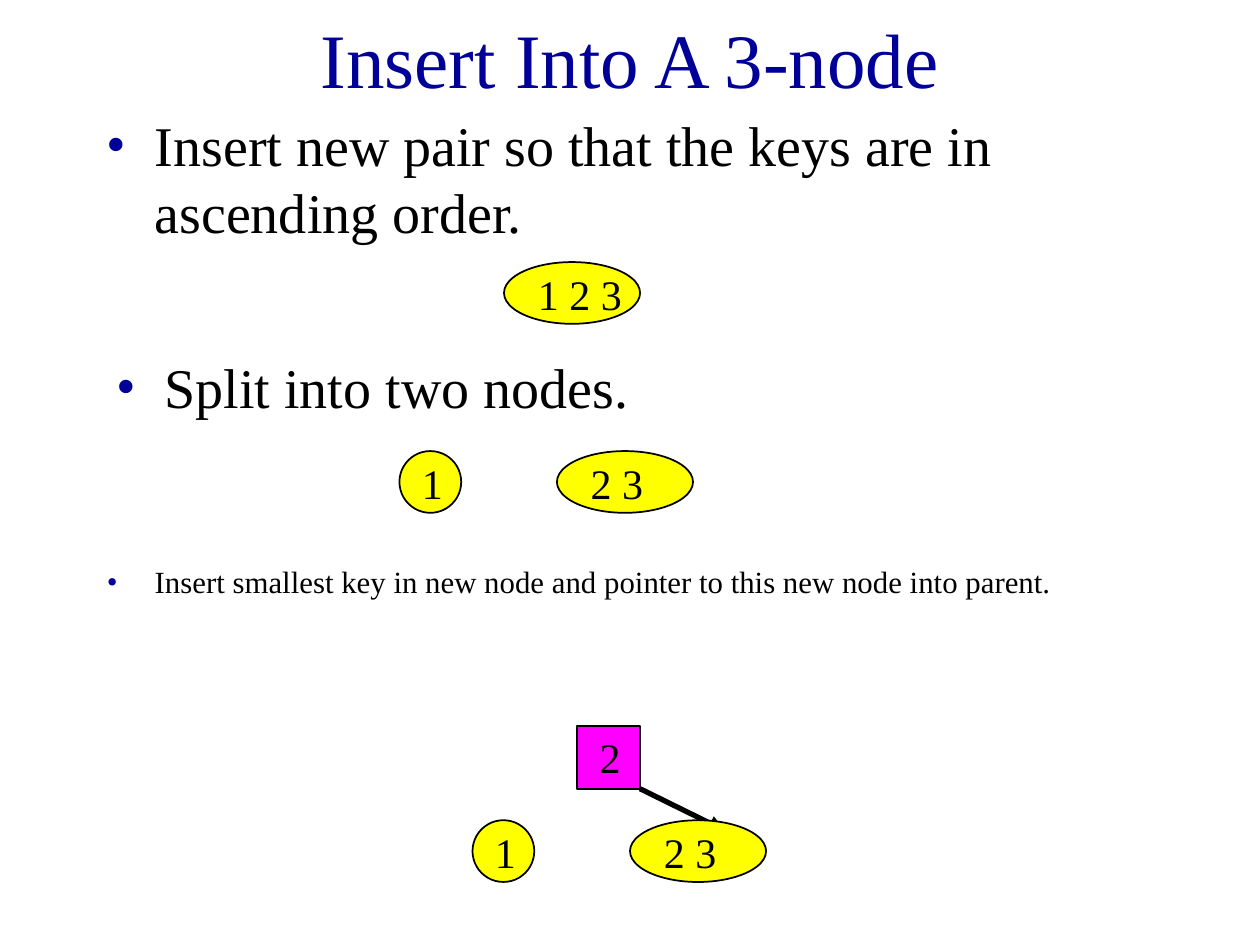
from dataclasses import dataclass

from lxml import etree
from pptx import Presentation
from pptx.dml.color import RGBColor as RGB
from pptx.enum.shapes import MSO_CONNECTOR as CONN, MSO_SHAPE as SHAPE
from pptx.enum.text import MSO_ANCHOR as ANCHOR, PP_ALIGN as ALIGN
from pptx.oxml.ns import qn
from pptx.util import Inches, Pt


@dataclass(frozen=True)
class Theme:
    font: str = "Times New Roman"
    accent: str = "000099"
    ink: str = "000000"
    node: str = "FFFF00"
    parent: str = "FF00FF"
    title_size: float = 44
    body_size: float = 32
    small_size: float = 17.6
    key_size: float = 24


class TreeSlide:
    """Holds the theme and the current slide."""

    def __init__(self, slide, theme):
        self.s, self.theme = slide, theme

    def style(self, p, size, color):
        for r in p.runs:
            r.font.name = self.theme.font
            r.font.size = Pt(size)
            r.font.color.rgb = RGB.from_string(color)

    def title(self, text, x, y, w, h):
        sp = self.s.shapes.title
        sp.left, sp.top, sp.width, sp.height = map(Inches, (x, y, w, h))
        tf = sp.text_frame
        tf.text = text
        tf.vertical_anchor = ANCHOR.MIDDLE
        tf.paragraphs[0].alignment = ALIGN.CENTER
        self.style(tf.paragraphs[0], self.theme.title_size, self.theme.accent)

    def text(self, text, x, y, w, h, size):
        sp = self.s.shapes.add_textbox(*map(Inches, (x, y, w, h)))
        tf = sp.text_frame
        tf.word_wrap = True
        tf.text = text
        p = tf.paragraphs[0]
        self.style(p, size, self.theme.ink)
        return p

    def bullet(self, text, x, y, h, size):
        p = self.text(text, x, y, 8.5, h, size)
        pPr = p._p.get_or_add_pPr()
        pPr.set("marL", str(Inches(0.38)))
        pPr.set("indent", str(Inches(-0.38)))
        clr = etree.SubElement(pPr, qn("a:buClr"))
        etree.SubElement(clr, qn("a:srgbClr"), val=self.theme.accent)
        etree.SubElement(pPr, qn("a:buFont"), typeface=self.theme.font)
        etree.SubElement(pPr, qn("a:buChar"), char="•")

    def node(self, keys, x, y, w, h, inset, text_w, kind=SHAPE.OVAL, fill=None):
        sp = self.s.shapes.add_shape(kind, *map(Inches, (x, y, w, h)))
        sp.shadow.inherit = False
        sp.fill.solid()
        sp.fill.fore_color.rgb = RGB.from_string(fill or self.theme.node)
        sp.line.color.rgb = RGB.from_string(self.theme.ink)
        sp.line.width = Pt(1)
        self.text(keys, x + inset, y, text_w, 0.5, self.theme.key_size)

    def two_node(self, keys, y):
        self.node(keys, 3.17 if y < 5 else 3.75, y, 0.49, 0.49, 0.08, 0.42)

    def three_node(self, keys, x, y):
        self.node(keys, x, y, 1.08, 0.49, 0.17, 1.17)

    def split_pair(self, x, y):
        """The new node at x, with the old node 1.25 to its left."""
        self.three_node("2 3", x, y)
        self.node("1", x - 1.25, y, 0.49, 0.49, 0.08, 0.42)

    def parent(self, key, x, y):
        self.node(key, x, y, 0.5, 0.5, 0.08, 0.75, SHAPE.RECTANGLE, self.theme.parent)

    def arrow(self, x1, y1, x2, y2):
        c = self.s.shapes.add_connector(CONN.STRAIGHT, *map(Inches, (x1, y1, x2, y2)))
        c.line.color.rgb = RGB.from_string(self.theme.ink)
        c.line.width = Pt(3)
        etree.SubElement(c.line._get_or_add_ln(), qn("a:tailEnd"), type="triangle")
        etree.SubElement(c._element.spPr, qn("a:effectLst"))


# The two-node helper is covered by split_pair
del TreeSlide.two_node


def main():
    prs = Presentation()
    prs.slide_width, prs.slide_height = Inches(10), Inches(7.5)
    theme = Theme()
    tree = TreeSlide(prs.slides.add_slide(prs.slide_layouts[5]), theme)

    tree.title("Insert Into A 3-node", 0.75, 0, 8.5, 0.92)

    # Step 1: overfull node
    tree.bullet("Insert new pair so that the keys are in ascending order.",
                0.75, 0.83, 1.25, theme.body_size)
    tree.three_node("1 2 3", 4, 2.08)

    # Step 2: split
    tree.bullet("Split into two nodes.", 0.83, 2.75, 0.75, theme.body_size)
    tree.split_pair(4.42, 3.58)

    # Step 3: key and pointer go to the parent
    tree.bullet("Insert smallest key in new node and pointer to this new node into parent.",
                0.75, 4.42, 0.75, theme.small_size)
    tree.parent("2", 4.58, 5.76)
    tree.arrow(5.08, 6.26, 5.75, 6.59)
    tree.split_pair(5, 6.51)

    prs.save("out.pptx")


if __name__ == "__main__":
    main()
